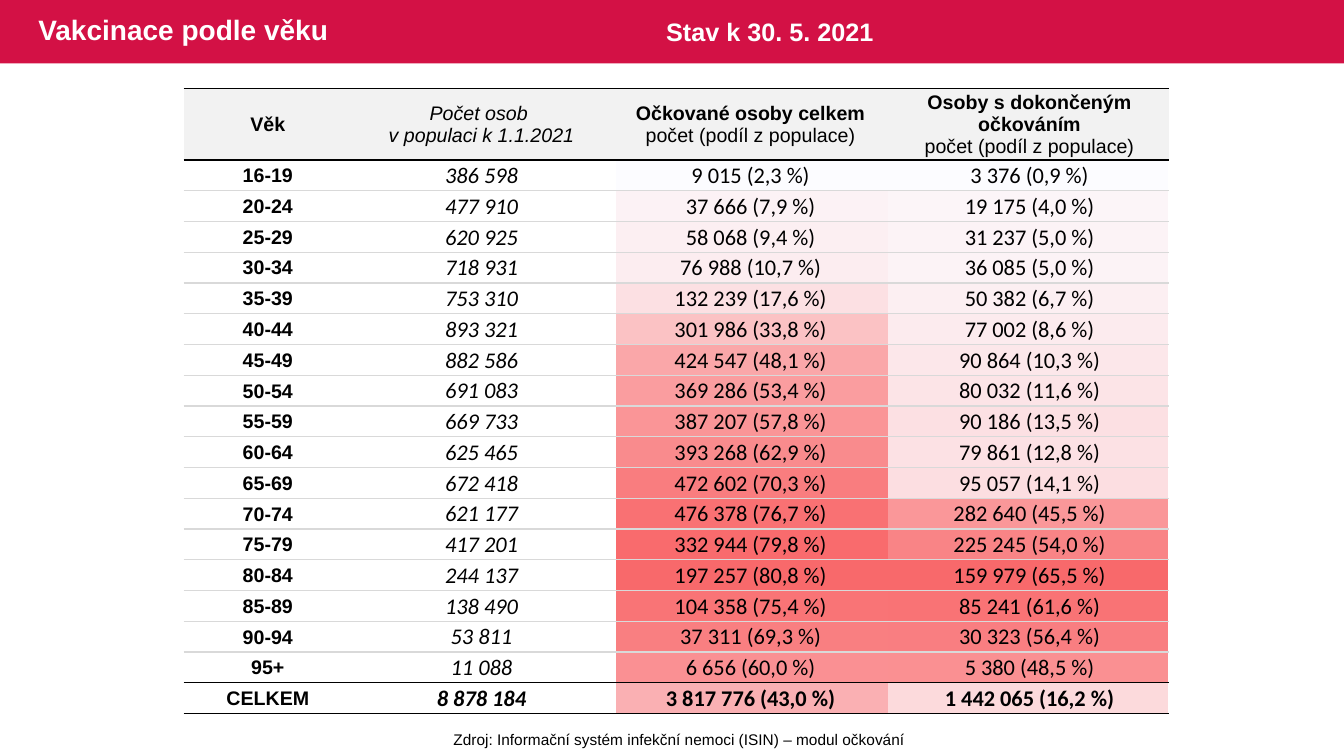
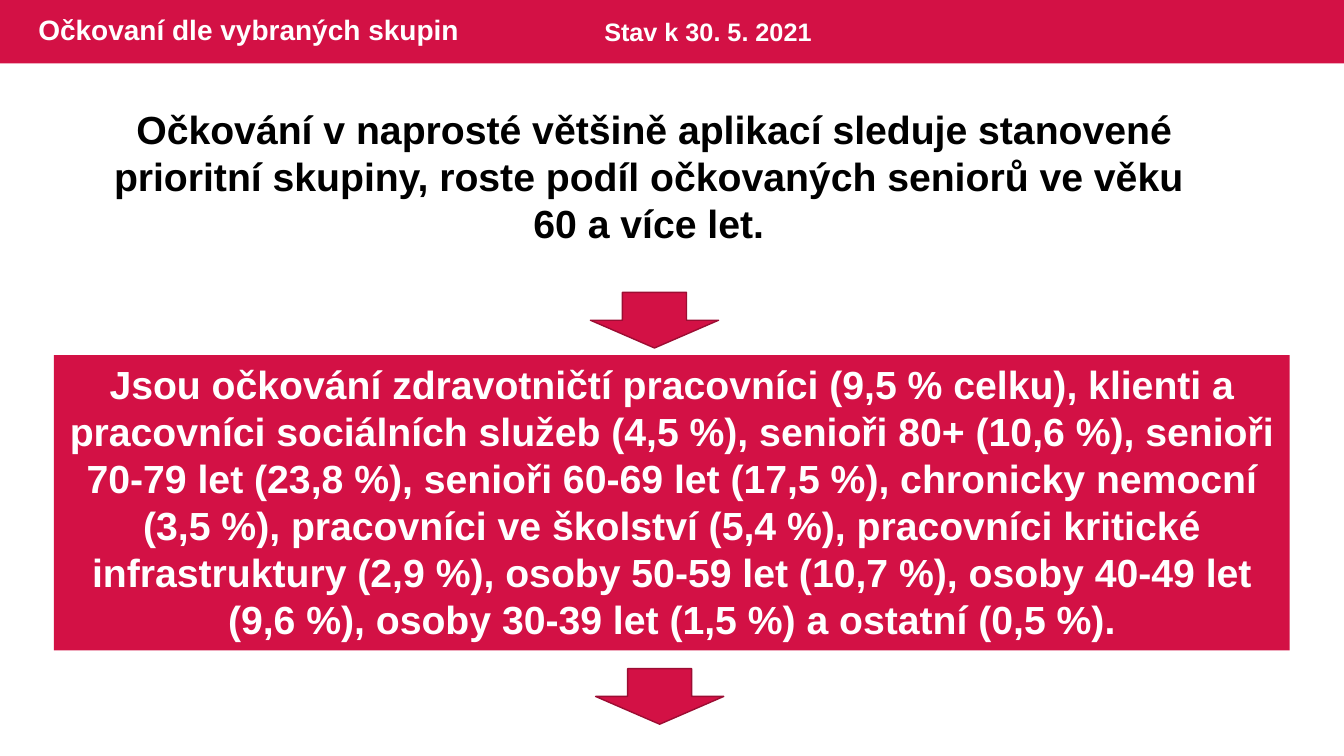
from dataclasses import dataclass
from math import ceil

from lxml import etree
from pptx import Presentation
from pptx import util as u
from pptx.dml.color import RGBColor
from pptx.enum import shapes, text
from pptx.oxml.ns import qn

Cm, Pt = u.Cm, u.Pt

# Content
STATUS = "Stav k 30. 5. 2021"
AGE_TITLE = "Vakcinace podle věku"
GROUPS_TITLE = "Očkovaní dle vybraných skupin"
SOURCE = "Zdroj: Informační systém infekční nemoci (ISIN) – modul očkování"

# Each heading is a list of lines: (text, font variations)
SHARE_NOTE = ("počet (podíl z populace)", {})
HEADINGS = [
    [("Věk", {"bold": True})],
    [("Počet osob ", {"italic": True}), ("v populaci k 1.1.2021", {"italic": True})],
    [("Očkované osoby celkem", {"bold": True}), SHARE_NOTE],
    [("Osoby s dokončeným očkováním", {"bold": True}), SHARE_NOTE],
]
# Age, population, vaccinated, fully vaccinated
AGE_GROUPS = [
    ("16-19", 386598, 9015, 3376),
    ("20-24", 477910, 37666, 19175),
    ("25-29", 620925, 58068, 31237),
    ("30-34", 718931, 76988, 36085),
    ("35-39", 753310, 132239, 50382),
    ("40-44", 893321, 301986, 77002),
    ("45-49", 882586, 424547, 90864),
    ("50-54", 691083, 369286, 80032),
    ("55-59", 669733, 387207, 90186),
    ("60-64", 625465, 393268, 79861),
    ("65-69", 672418, 472602, 95057),
    ("70-74", 621177, 476378, 282640),
    ("75-79", 417201, 332944, 225245),
    ("80-84", 244137, 197257, 159979),
    ("85-89", 138490, 104358, 85241),
    ("90-94", 53811, 37311, 30323),
    ("95+", 11088, 6656, 5380),
    ("CELKEM", 8878184, 3817776, 1442065),
]
PRIORITY = [
    "Očkování v naprosté většině aplikací sleduje stanovené prioritní skupiny, "
    "roste podíl očkovaných seniorů ve věku ",
    "60 a více let. ",
]
GROUP_SHARES = (
    "Jsou očkování zdravotničtí pracovníci (9,5 % celku), klienti a pracovníci "
    "sociálních služeb (4,5 %), senioři 80+ (10,6 %), senioři 70-79 let (23,8 %), "
    "senioři 60-69 let (17,5 %), chronicky nemocní (3,5 %), pracovníci ve školství "
    "(5,4 %), pracovníci kritické infrastruktury (2,9 %), osoby 50-59 let (10,7 %), "
    "osoby 40-49 let (9,6 %), osoby 30-39 let (1,5 %) a ostatní (0,5 %)."
)


@dataclass(frozen=True)
class Theme:
    red: str = "D31145"
    dark_red: str = "9C0D33"
    white: str = "FFFFFF"
    black: str = "000000"
    heading_fill: str = "F2F2F2"
    rule: str = "D9D9D9"
    heat_low: str = "FCFCFF"
    heat_high: str = "F8696B"
    font: str = "Arial"
    number_font: str = "Calibri"
    title: int = 20
    status: int = 18
    statement: int = 28
    label: int = 14
    number: int = 16
    source: int = 11


THEME = Theme()
SLIDE_W, SLIDE_H = Cm(33.87), Cm(19.05)
BAND_H = Cm(1.6)
AGE_WIDTHS = [Cm(w) for w in (4.24, 6.53, 7.03, 7.03)]
HEAT_WIDTHS = [Cm(w) for w in (6.86, 7.06)]
AGE_LEFT, HEAT_LEFT, TABLE_TOP = Cm(4.63), Cm(15.52), Cm(2.22)
HEADING_H = Cm(1.8)
AGES_H = Cm(13.96)
AGE_ROW_H = round(AGES_H / len(AGE_GROUPS))


# Text helpers
def write(frame, lines, size, color=THEME.black, align=text.PP_ALIGN.CENTER, **font):
    """Fill a text frame with (text, font variations) lines."""
    for i, (line, variation) in enumerate(lines):
        paragraph = frame.paragraphs[0] if i == 0 else frame.add_paragraph()
        paragraph.alignment = align
        run = paragraph.add_run()
        run.text = line
        values = {"name": THEME.font, "size": Pt(size), "bold": False,
                  "italic": False, **font, **variation}
        for name, value in values.items():
            setattr(run.font, name, value)
        run.font.color.rgb = RGBColor.from_string(color)


def add_text(slide, box, lines, size, wrap=True, **style):
    frame = slide.shapes.add_textbox(*map(Cm, box)).text_frame
    frame.word_wrap = wrap
    frame.auto_size = text.MSO_AUTO_SIZE.SHAPE_TO_FIT_TEXT
    write(frame, [(line, {}) for line in lines], size, **style)


def add_red_shape(slide, kind, box, outline=None):
    shape = slide.shapes.add_shape(kind, *box)
    shape.shadow.inherit = False
    shape.fill.solid()
    shape.fill.fore_color.rgb = RGBColor.from_string(THEME.red)
    if outline:
        shape.line.color.rgb = RGBColor.from_string(outline)
        shape.line.width = Pt(1)
    else:
        shape.line.fill.background()
    return shape


# Shared band and title
def prepare_layout(prs, layout):
    """Put the red band behind the layout's title."""
    draft = prs.slides.add_slide(layout)
    band = add_red_shape(draft, shapes.MSO_SHAPE.RECTANGLE, (0, 0, SLIDE_W, BAND_H))
    layout.shapes.element.insert(2, band.element)
    title = layout.placeholders[0]
    places = {"left": Cm(0.71), "top": 0, "width": Cm(20.65), "height": BAND_H}
    for name, value in places.items():
        setattr(title, name, value)
    return draft


def head_slide(slide, title, status_left):
    frame = slide.shapes.title.text_frame
    settings = {"vertical_anchor": text.MSO_ANCHOR.MIDDLE, "word_wrap": True,
                "auto_size": text.MSO_AUTO_SIZE.NONE}
    for name, value in settings.items():
        setattr(frame, name, value)
    style = {"color": THEME.white, "align": text.PP_ALIGN.LEFT, "bold": True}
    write(frame, [(title, {})], THEME.title, **style)
    frame.paragraphs[0].line_spacing = 0.9
    add_text(slide, (status_left, 0.28, 7.52, 1.02), [STATUS], THEME.status, **style)


# Tables
def add_plain_table(slide, left, top, widths, heights, rules):
    """Add an unfilled table; rules holds the colour of each horizontal line."""
    frame = slide.shapes.add_table(len(heights), len(widths), left, top,
                                   sum(widths), sum(heights))
    table = frame.table
    table.first_row = table.horz_banding = False
    for column, width in zip(table.columns, widths):
        column.width = width
    for row, height in zip(table.rows, heights):
        row.height = height
    margins = {"left": 0.03, "top": 0.03, "right": 0.03, "bottom": 0}
    for cell in table.iter_cells():
        cell.fill.background()
        cell.vertical_anchor = text.MSO_ANCHOR.MIDDLE
        for side, margin in margins.items():
            setattr(cell, f"margin_{side}", Cm(margin))
    for i, tc in enumerate(frame.element.iter(qn("a:tc"))):
        r = i // len(widths)
        set_borders(tc, rules[r], rules[r + 1])
    return frame


def set_borders(tc, top, bottom):
    properties = tc.get_or_add_tcPr()
    sides = {"a:lnL": None, "a:lnR": None, "a:lnT": top, "a:lnB": bottom}
    for place, (tag, color) in enumerate(sides.items()):
        line = etree.Element(qn(tag), w=str(Pt(1) if color else 0))
        if color:
            fill = etree.SubElement(line, qn("a:solidFill"))
            etree.SubElement(fill, qn("a:srgbClr"), val=color)
        else:
            etree.SubElement(line, qn("a:noFill"))
        properties.insert(place, line)


def fill_cell(cell, color):
    cell.fill.solid()
    cell.fill.fore_color.rgb = color


def spaced(number):
    return f"{number:,}".replace(",", " ")


def heat_color(share, shares):
    """Blend the two heat colours by the share's place in its column."""
    part = (share - min(shares)) / (max(shares) - min(shares))
    ends = zip(RGBColor.from_string(THEME.heat_low), RGBColor.from_string(THEME.heat_high))
    return RGBColor(*(ceil(low + (high - low) * part) for low, high in ends))


def add_heat_table(slide):
    """Add the colour scale that lies behind the two vaccination columns."""
    count = len(AGE_GROUPS)
    frame = add_plain_table(slide, HEAT_LEFT, TABLE_TOP + HEADING_H, HEAT_WIDTHS,
                            [AGE_ROW_H] * count, [None] * (count + 1))
    for c in range(len(HEAT_WIDTHS)):
        shares = [group[c + 2] / group[1] for group in AGE_GROUPS]
        for r, share in enumerate(shares):
            fill_cell(frame.table.cell(r, c), heat_color(share, shares))
    # Small type keeps the empty rows at their height
    for paragraph in frame.element.iter(qn("a:p")):
        etree.SubElement(paragraph, qn("a:endParaRPr"), sz=str(THEME.source * 100))


def add_age_table(slide):
    heights = [HEADING_H] + [AGE_ROW_H] * len(AGE_GROUPS)
    # Black rules frame the heading and the total
    last = len(heights)
    rules = [THEME.black if i in (0, 1, last - 1, last) else THEME.rule
             for i in range(last + 1)]
    table = add_plain_table(slide, AGE_LEFT, TABLE_TOP, AGE_WIDTHS, heights, rules).table

    for c, heading in enumerate(HEADINGS):
        cell = table.cell(0, c)
        fill_cell(cell, RGBColor.from_string(THEME.heading_fill))
        write(cell.text_frame, heading, THEME.label)

    for r, (age, population, *counts) in enumerate(AGE_GROUPS, 1):
        numbers = {"name": THEME.number_font, "bold": r == len(AGE_GROUPS)}
        write(table.cell(r, 0).text_frame, [(age, {})], THEME.label, bold=True)
        write(table.cell(r, 1).text_frame, [(spaced(population), {})], THEME.number,
              italic=True, **numbers)
        for c, count in enumerate(counts, 2):
            percent = f"{count / population * 100:.1f}".replace(".", ",")
            write(table.cell(r, c).text_frame, [(f"{spaced(count)} ({percent} %)", {})],
                  THEME.number, **numbers)


# Slides
def build_age_slide(slide):
    add_heat_table(slide)
    head_slide(slide, AGE_TITLE, 16.54)
    add_text(slide, (11.15, 18.27, 11.94, 0.74), [SOURCE], THEME.source, wrap=False)
    add_age_table(slide)


def build_groups_slide(slide):
    head_slide(slide, GROUPS_TITLE, 14.98)
    add_text(slide, (1.78, 2.53, 29.41, 3.84), PRIORITY, THEME.statement, bold=True)
    panel = add_red_shape(slide, shapes.MSO_SHAPE.RECTANGLE,
                          map(Cm, (1.36, 8.95, 31.14, 7.44)))
    panel.text_frame.word_wrap = True
    panel.text_frame.auto_size = text.MSO_AUTO_SIZE.SHAPE_TO_FIT_TEXT
    panel.text_frame.vertical_anchor = text.MSO_ANCHOR.TOP
    write(panel.text_frame, [(GROUP_SHARES, {})], THEME.statement,
          color=THEME.white, bold=True)
    for left, top in ((14.88, 7.37), (15.01, 16.85)):
        add_red_shape(slide, shapes.MSO_SHAPE.DOWN_ARROW,
                      map(Cm, (left, top, 3.23, 1.4)), THEME.dark_red)


def main():
    prs = Presentation()
    prs.slide_width, prs.slide_height = SLIDE_W, SLIDE_H
    layout = prs.slide_layouts.get_by_name("Title Only")
    build_age_slide(prepare_layout(prs, layout))
    build_groups_slide(prs.slides.add_slide(layout))
    prs.save("out.pptx")


if __name__ == "__main__":
    main()
